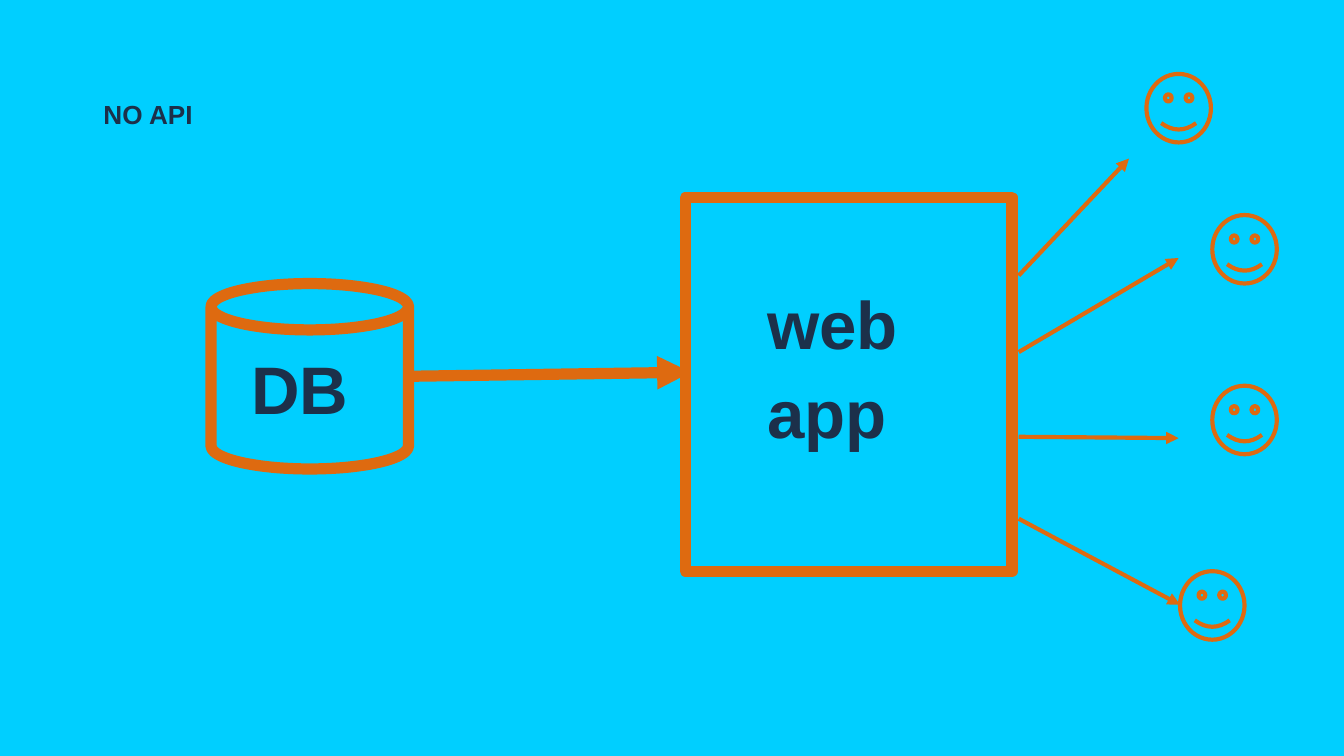
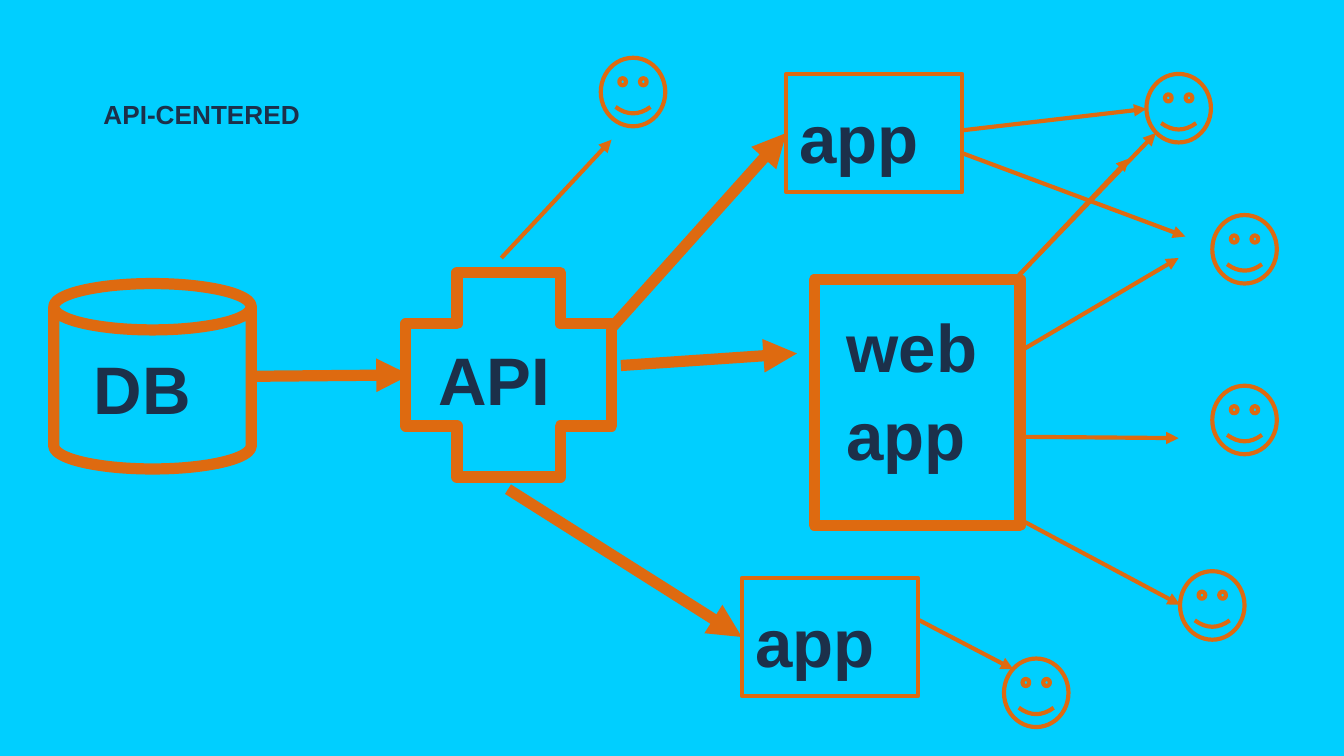
from dataclasses import dataclass

from lxml.etree import SubElement
from pptx import Presentation
from pptx.dml.color import RGBColor
from pptx.enum.shapes import MSO_CONNECTOR, MSO_SHAPE
from pptx.enum.text import MSO_ANCHOR, PP_ALIGN
from pptx.oxml.ns import qn
from pptx.util import Emu, Inches, Pt

EMU_PER_PX = 9144  # 100 px to the inch


@dataclass(frozen=True)
class Theme:
    background: RGBColor = RGBColor(0x00, 0xCF, 0xFF)
    outline: RGBColor = RGBColor(0xDE, 0x6A, 0x10)
    text: RGBColor = RGBColor(0x1C, 0x30, 0x4A)
    font: str = "Arial"
    title_size: float = 14
    label_size: float = 36
    thin: float = 2.25
    thick: float = 6
    line_spacing: float = 1.1


def px(*lengths):
    return [Emu(length * EMU_PER_PX) for length in lengths]


class Diagram:
    def __init__(self, presentation, theme):
        self.presentation = presentation
        self.theme = theme
        self.slide = None
        fill = presentation.slide_master.background.fill
        fill.solid()
        fill.fore_color.rgb = theme.background

    def new_slide(self, title):
        self.slide = self.presentation.slides.add_slide(self.presentation.slide_layouts[6])
        self.text(title, 73, 67, 437, 27, size=self.theme.title_size, inset=4)

    def set_text(self, shape, content, size, anchor, inset, indent=0):
        frame = shape.text_frame
        frame.text = content
        frame.word_wrap = True
        frame.vertical_anchor = anchor
        frame.margin_left, frame.margin_top = px(inset + indent, inset)
        frame.margin_right, frame.margin_bottom = px(inset, inset)
        for paragraph in frame.paragraphs:
            paragraph.alignment = PP_ALIGN.LEFT
            paragraph.line_spacing = self.theme.line_spacing
            for run in paragraph.runs:
                run.font.name = self.theme.font
                run.font.size = Pt(size)
                run.font.bold = True
                run.font.color.rgb = self.theme.text

    def text(self, content, *place, size=None, anchor=MSO_ANCHOR.TOP, inset=10):
        box = self.slide.shapes.add_textbox(*px(*place))
        self.set_text(box, content, size or self.theme.label_size, anchor, inset)

    def stroke(self, line, weight):
        line.color.rgb = self.theme.outline
        line.width = Pt(weight)

    def shape(self, kind, *place, weight, label=None, indent=0):
        shape = self.slide.shapes.add_shape(kind, *px(*place))
        shape.shadow.inherit = False
        shape.fill.background()
        self.stroke(shape.line, weight)
        if label:
            self.set_text(shape, label, self.theme.label_size, MSO_ANCHOR.MIDDLE, 10, indent)
        return shape

    def arrow(self, *ends, weight=None):
        connector = self.slide.shapes.add_connector(MSO_CONNECTOR.STRAIGHT, *px(*ends))
        self.stroke(connector.line, weight or self.theme.thin)
        properties = connector._element.spPr
        SubElement(properties.find(qn("a:ln")), qn("a:tailEnd"), type="triangle")
        SubElement(properties, qn("a:effectLst"))

    def data_arrow(self, *ends):
        self.arrow(*ends, weight=self.theme.thick)

    def database(self, left):
        self.shape(MSO_SHAPE.CAN, left, 211, 147, 138, weight=self.theme.thick)
        self.text("DB", left + 20, 186, 147, 199, anchor=MSO_ANCHOR.MIDDLE)

    def api(self, left, top):
        cross = self.shape(MSO_SHAPE.CROSS, left, top, 153, 152, weight=self.theme.thick,
                           label="API", indent=14)
        cross.adjustments[0] = 0.25

    def web_app(self, box, label):
        self.shape(MSO_SHAPE.RECTANGLE, *box, weight=self.theme.thick)
        self.text("web\napp", *label, 168, 183)

    def small_app(self, left, top):
        self.shape(MSO_SHAPE.RECTANGLE, left, top, 131, 88, weight=self.theme.thin, label="app")

    def user(self, left, top):
        self.shape(MSO_SHAPE.SMILEY_FACE, left, top, 48, 51, weight=self.theme.thin)

    def web_users(self):
        """Draws the four users of the web app and the arrows that reach them."""
        for place in ((853, 55), (902, 160), (902, 287), (878, 425)):
            self.user(*place)
        for start_y, end_x, end_y in ((205, 840, 118), (262, 877, 192),
                                      (325, 877, 326), (386, 878, 450)):
            self.arrow(758, start_y, end_x, end_y)


def draw_no_api(diagram):
    diagram.new_slide("NO API")
    diagram.database(157)
    diagram.web_app((510, 147, 243, 278), (561, 194))
    diagram.data_arrow(303, 280, 514, 277)
    diagram.web_users()


def draw_api_centered(diagram):
    diagram.new_slide("API-CENTERED")
    diagram.database(40)
    diagram.web_app((606, 208, 153, 183), (620, 211))
    diagram.web_users()
    diagram.api(302, 203)
    for app in ((585, 55), (552, 430)):
        diagram.small_app(*app)
    for user in ((447, 43), (747, 490)):
        diagram.user(*user)
    for ends in ((187, 280, 305, 279), (462, 272, 593, 263),
                 (455, 244, 585, 99), (378, 364, 552, 474)):
        diagram.data_arrow(*ends)
    for ends in ((758, 205, 860, 99), (373, 192, 455, 104), (683, 461, 754, 498),
                 (716, 97, 853, 81), (716, 114, 882, 176)):
        diagram.arrow(*ends)


def main():
    presentation = Presentation()
    presentation.slide_width = Inches(10)
    presentation.slide_height = Emu(5143500)
    diagram = Diagram(presentation, Theme())
    draw_no_api(diagram)
    draw_api_centered(diagram)
    presentation.save("out.pptx")


if __name__ == "__main__":
    main()
